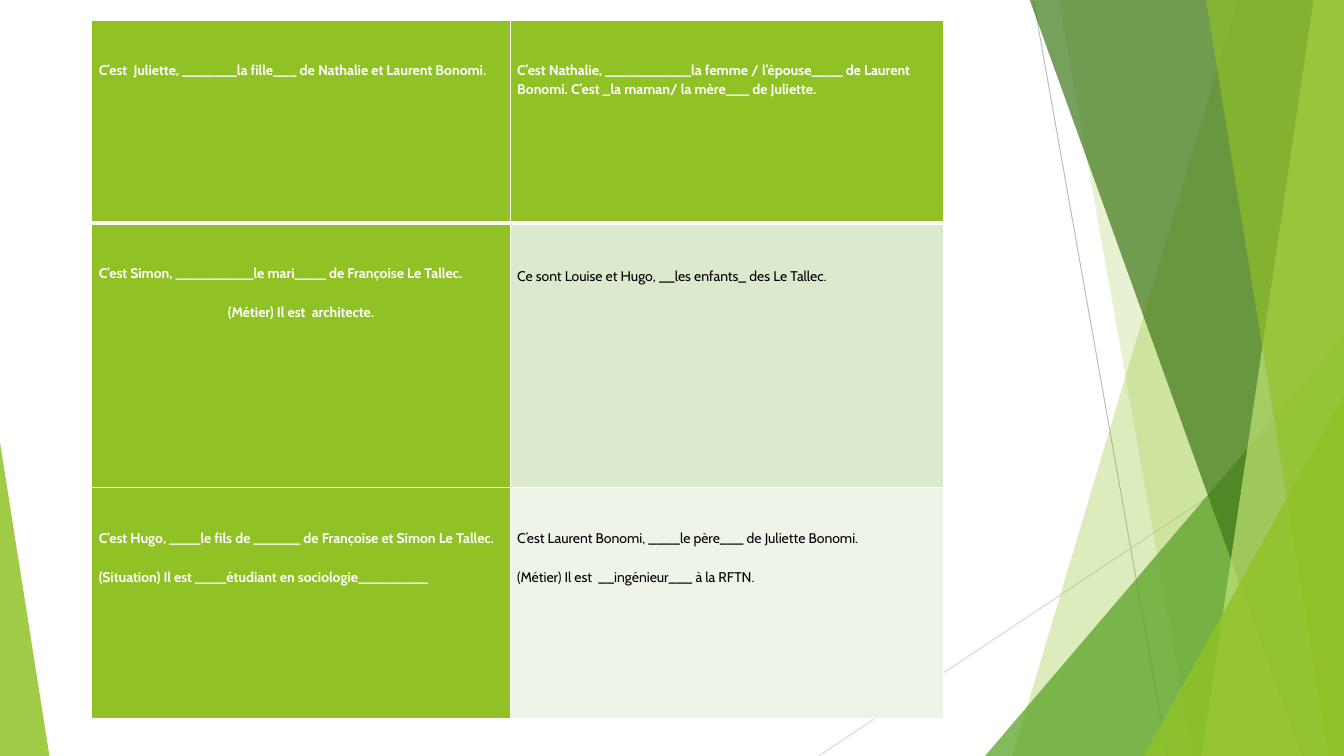
from lxml import etree
from pptx import Presentation
from pptx import util as u
from pptx.dml import color
from pptx.enum import shapes, text
from pptx.oxml import ns

COLORS = {
    "lime": "90C226", "green": "54A021", "forest": "3F7819", "pale": "C0E474",
    "band_dark": "DBE9CD", "band_light": "EEF4E8", "white": "FFFFFF", "black": "000000",
    "line_dark": "BFBFBF", "line_light": "D9D9D9",
}
WIDTH, HEIGHT = 13.33, 7.5
BLEED_TOP = -0.01

# start, end, color
LINES = [
    ((10.25, 0), (11.58, HEIGHT), "line_dark"),
    ((WIDTH, 4.03), (8.12, HEIGHT), "line_light"),
]
# Facets reach the right edge: ("facet", top x, bottom x, color, opacity %)
# Triangles stand on the bottom edge: ("triangle", left, top, width, apex, color, opacity %)
DECORATION = [
    ("facet", 12.28, 10.04, "lime", 30),
    ("facet", 10.5, 11.83, "lime", 20),
    ("triangle", 9.77, 3.33, 3.56, 1, "green", 72),
    ("facet", 10.21, 12.91, "forest", 70),
    ("facet", 13.03, 11.92, "pale", 70),
    ("facet", 11.96, 13.18, "lime", 65),
    ("triangle", 11.34, 3.93, 1.99, 1, "lime", 80),
    ("triangle", 0, 4.39, 0.49, 0, "lime", 85),
]

LEFT, CENTER = text.PP_ALIGN.LEFT, text.PP_ALIGN.CENTER
COLUMN_WIDTHS = [4.15, 4.3]
ROW_HEIGHTS = [2.01, 2.63, 2.29]
# Each cell: fill, top margin, border below in points, paragraphs
FAMILY_ROWS = [
    [
        ("lime", 0.39, 3, [
            ("C’est  Juliette, _______la fille___ de Nathalie et Laurent Bonomi.", LEFT)]),
        ("lime", 0.39, 3, [
            ("C’est Nathalie, ___________la femme / l’épouse____ de Laurent Bonomi. "
             "C’est _la maman/ la mère___ de Juliette.", LEFT)]),
    ],
    [
        ("lime", 0.39, 1, [
            ("C’est Simon, __________le mari____ de Françoise Le Tallec.", LEFT),
            ("(Métier) Il est  architecte.", CENTER)]),
        ("band_dark", 0.42, 1, [
            ("Ce sont Louise et Hugo, __les enfants_ des Le Tallec.", LEFT)]),
    ],
    [
        ("lime", 0.39, 1, [
            ("C’est Hugo, ____le fils de ______ de Françoise et Simon Le Tallec.", LEFT),
            ("(Situation) Il est ____étudiant en sociologie_________", LEFT)]),
        ("band_light", 0.39, 1, [
            ("C’est Laurent Bonomi, ____le père___ de Juliette Bonomi.", LEFT),
            ("(Métier) Il est  __ingénieur___ à la RFTN.", LEFT)]),
    ],
]


def rgb(name):
    return color.RGBColor.from_string(COLORS[name])


class SlideBuilder:
    font = "Cabin"
    size = 10
    line_spacing = 1.15
    paragraph_gap = 14

    def __init__(self, slide):
        self.slide = slide

    def line(self, start, end, color_name):
        connector = self.slide.shapes.add_connector(
            shapes.MSO_CONNECTOR.STRAIGHT, *map(u.Inches, start + end))
        connector.line.color.rgb = rgb(color_name)
        connector.line.width = u.Pt(0.75)
        etree.SubElement(connector._element.spPr, ns.qn("a:effectLst"))

    def paint(self, shape, color_name, opacity):
        shape.shadow.inherit = False
        shape.line.fill.background()
        shape.fill.solid()
        shape.fill.fore_color.rgb = rgb(color_name)
        fill_color = shape._element.spPr.find(".//" + ns.qn("a:srgbClr"))
        etree.SubElement(fill_color, ns.qn("a:alpha"), val=str(opacity * 1000))

    def facet(self, top_x, bottom_x, color_name, opacity):
        corners = [(top_x, BLEED_TOP), (WIDTH, BLEED_TOP), (WIDTH, HEIGHT), (bottom_x, HEIGHT)]
        points = [(u.Inches(x), u.Inches(y)) for x, y in corners]
        builder = self.slide.shapes.build_freeform(*points[0])
        builder.add_line_segments(points[1:], close=True)
        self.paint(builder.convert_to_shape(), color_name, opacity)

    def triangle(self, left, top, width, apex, color_name, opacity):
        box = map(u.Inches, (left, top, width, HEIGHT - top))
        shape = self.slide.shapes.add_shape(shapes.MSO_SHAPE.ISOSCELES_TRIANGLE, *box)
        shape.adjustments[0] = apex
        self.paint(shape, color_name, opacity)

    def table(self, left, top, column_widths, row_heights, rows):
        frame = self.slide.shapes.add_table(
            len(rows), len(column_widths), u.Inches(left), u.Inches(top),
            u.Inches(sum(column_widths)), u.Inches(sum(row_heights)))
        table = frame.table
        table.first_row = table.horz_banding = False
        for column, width in zip(table.columns, column_widths):
            column.width = u.Inches(width)
        for row, height in zip(table.rows, row_heights):
            row.height = u.Inches(height)
        for row_index, row in enumerate(rows):
            border_above = rows[row_index - 1][0][2] if row_index else 1
            for column_index, (fill, margin_top, border_below, paragraphs) in enumerate(row):
                cell = table.cell(row_index, column_index)
                self.borders(cell, border_above, border_below)
                self.cell(cell, fill, margin_top, paragraphs)

    def cell(self, cell, fill, margin_top, paragraphs):
        cell.fill.solid()
        cell.fill.fore_color.rgb = rgb(fill)
        cell.margin_left = cell.margin_right = u.Inches(0.07)
        cell.margin_top, cell.margin_bottom = u.Inches(margin_top), 0
        on_lime = fill == "lime"
        for index, (wording, alignment) in enumerate(paragraphs):
            frame = cell.text_frame
            paragraph = frame.add_paragraph() if index else frame.paragraphs[0]
            paragraph.alignment = alignment
            paragraph.line_spacing = self.line_spacing
            if index:
                paragraph.space_before = u.Pt(self.paragraph_gap)
            run = paragraph.add_run()
            run.text = wording
            run.font.name = self.font
            run.font.size = u.Pt(self.size)
            run.font.bold = on_lime
            run.font.color.rgb = rgb("white" if on_lime else "black")

    def borders(self, cell, above, below):
        """Add white borders; call before filling, as borders precede the fill."""
        properties = cell._tc.get_or_add_tcPr()
        for side, points in (("L", 1), ("R", 1), ("T", above), ("B", below)):
            border = etree.SubElement(properties, ns.qn("a:ln" + side), w=str(u.Pt(points)))
            solid = etree.SubElement(border, ns.qn("a:solidFill"))
            etree.SubElement(solid, ns.qn("a:srgbClr"), val=COLORS["white"])


def main():
    presentation = Presentation()
    presentation.slide_width = u.Inches(WIDTH)
    presentation.slide_height = u.Inches(HEIGHT)
    builder = SlideBuilder(presentation.slides.add_slide(presentation.slide_layouts[6]))
    for line in LINES:
        builder.line(*line)
    draw = {"facet": builder.facet, "triangle": builder.triangle}
    for kind, *values in DECORATION:
        draw[kind](*values)
    builder.table(0.91, 0.2, COLUMN_WIDTHS, ROW_HEIGHTS, FAMILY_ROWS)
    presentation.save("out.pptx")


if __name__ == "__main__":
    main()
